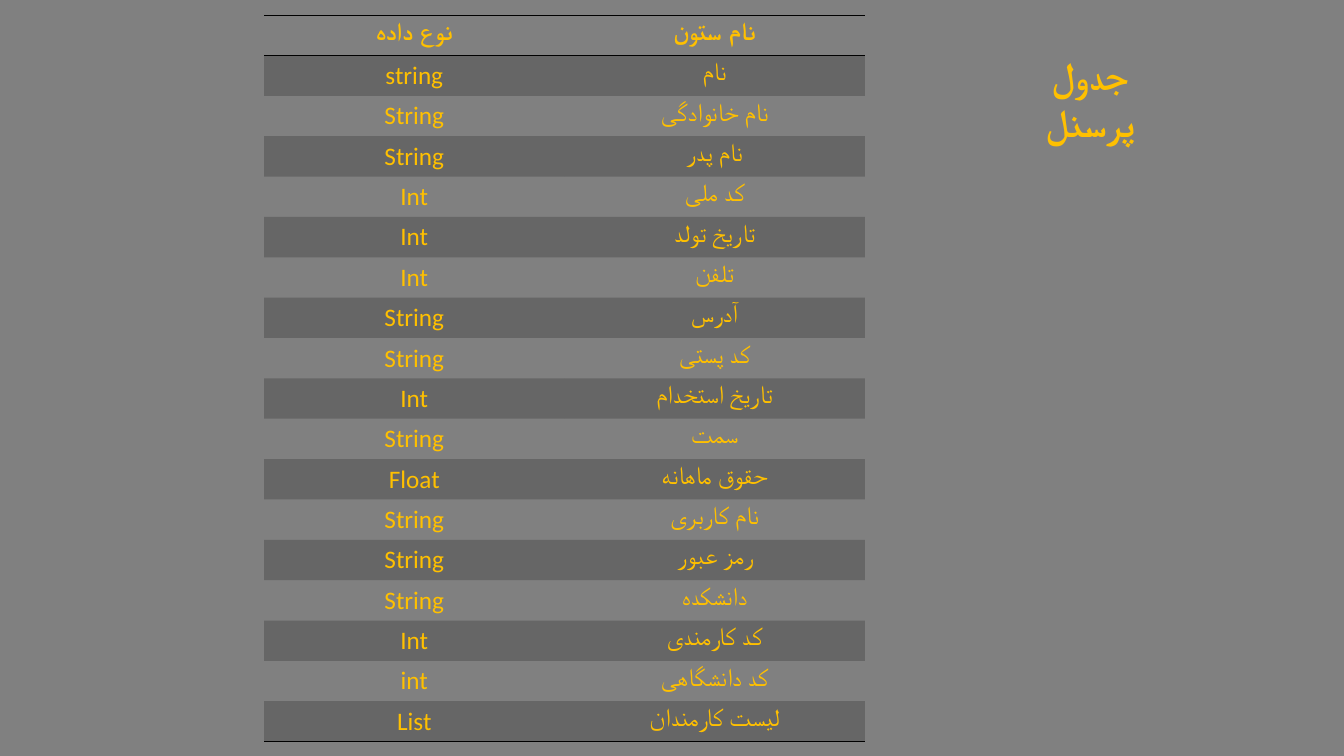
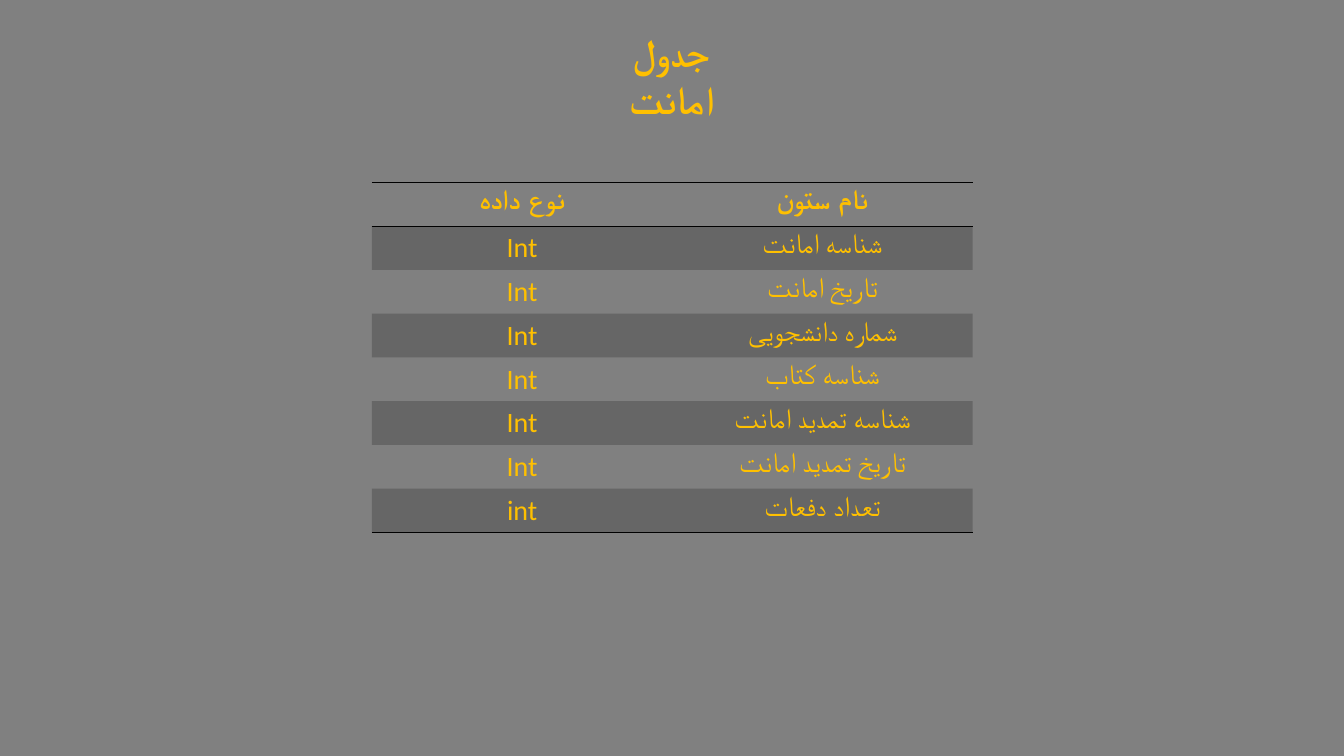
"""Build two slides that list the columns and data types of database tables."""
import pptx
import pptx.util
import pptx.dml.color
import pptx.enum.text
import pptx.oxml
import pptx.oxml.ns

Pt = pptx.util.Pt
CENTER = pptx.enum.text.PP_ALIGN.CENTER

COLORS = {"background": "808080", "text": "FFC000", "rule": "000000", "band": "000000"}
BAND_ALPHA = 20
COLUMN_WIDTH = 214.56
TITLE_HEIGHT = 41
NO_GRID_STYLE = "{2D5ABB26-0587-4C30-8999-92F81FD0307C}"
HEADER = ("نوع داده", "نام ستون")

SLIDES = [
    {
        "title": "جدول پرسنل",
        "title_at": (722.88, 33.12),
        "title_width": 111.6,
        "table_at": (188.64, 10.8),
        "row_height": 28.8,
        "size": 18,
        "fields": [
            ("string", "نام"),
            ("String", "نام خانوادگی"),
            ("String", "نام پدر"),
            ("Int", "کد ملی"),
            ("Int", "تاریخ تولد"),
            ("Int", "تلفن"),
            ("String", "آدرس"),
            ("String", "کد پستی"),
            ("Int", "تاریخ استخدام"),
            ("String", "سمت"),
            ("Float", "حقوق ماهانه"),
            ("String", "نام کاربری"),
            ("String", "رمز عبور"),
            ("String", "دانشکده"),
            ("Int", "کد کارمندی"),
            ("int", "کد دانشگاهی"),
            ("List", "لیست کارمندان"),
        ],
    },
    {
        "title": "جدول امانت",
        "title_at": (425.52, 16.56),
        "title_width": 108,
        "table_at": (265.68, 130.32),
        "row_height": 31.23,
        "size": 20,
        "fields": [
            ("Int", "شناسه امانت"),
            ("Int", "تاریخ امانت"),
            ("Int", "شماره دانشجویی"),
            ("Int", "شناسه کتاب"),
            ("Int", "شناسه تمدید امانت"),
            ("Int", "تاریخ تمدید امانت"),
            ("int", "تعداد دفعات"),
        ],
    },
]


def rgb(name):
    return pptx.dml.color.RGBColor.from_string(COLORS[name])


def write(frame, text, font_name, size, bold):
    paragraph = frame.paragraphs[0]
    paragraph.text = text
    paragraph.alignment = CENTER
    paragraph._p.get_or_add_pPr().set("rtl", "1")
    font = paragraph.font
    font.name, font.size, font.bold = font_name, Pt(size), bold
    font.color.rgb = rgb("text")


def shade(cell):
    cell.fill.solid()
    cell.fill.fore_color.rgb = rgb("band")
    color = cell._tc.tcPr.find(".//" + pptx.oxml.ns.qn("a:srgbClr"))
    alpha = color.makeelement(pptx.oxml.ns.qn("a:alpha"), {"val": str(BAND_ALPHA * 1000)})
    color.append(alpha)


def rule(cell, sides):
    for place, side in enumerate(sides):
        line = pptx.oxml.parse_xml(
            f'<a:ln{side} {pptx.oxml.ns.nsdecls("a")} w="{Pt(1)}"><a:solidFill>'
            f'<a:srgbClr val="{COLORS["rule"]}"/></a:solidFill></a:ln{side}>'
        )
        cell._tc.get_or_add_tcPr().insert(place, line)


def add_title(slide, content):
    box = slide.shapes.add_textbox(
        *map(Pt, content["title_at"]), Pt(content["title_width"]), Pt(TITLE_HEIGHT)
    )
    box.text_frame.word_wrap = True
    write(box.text_frame, content["title"], "Arial", 28, True)


def add_fields(slide, content):
    rows = [HEADER] + content["fields"]
    last = len(rows) - 1
    frame = slide.shapes.add_table(
        len(rows), len(HEADER), *map(Pt, content["table_at"]),
        Pt(COLUMN_WIDTH * len(HEADER)), Pt(content["row_height"] * len(rows)),
    )
    table = frame.table
    table._tbl.tblPr.find(pptx.oxml.ns.qn("a:tableStyleId")).text = NO_GRID_STYLE
    table.horz_banding = False
    for column in table.columns:
        column.width = Pt(COLUMN_WIDTH)
    for r, row in enumerate(rows):
        table.rows[r].height = Pt(content["row_height"])
        for c, text in enumerate(row):
            cell = table.cell(r, c)
            write(cell.text_frame, text, "Calibri", content["size"], r == 0)
            if r % 2:
                shade(cell)
            else:
                cell.fill.background()
            rule(cell, {0: "TB", last: "B"}.get(r, ""))


deck = pptx.Presentation()
deck.slide_width, deck.slide_height = Pt(960), Pt(540)
background = deck.slide_master.background.fill
background.solid()
background.fore_color.rgb = rgb("background")
for content in SLIDES:
    slide = deck.slides.add_slide(deck.slide_layouts[6])
    add_title(slide, content)
    add_fields(slide, content)
deck.save("out.pptx")
